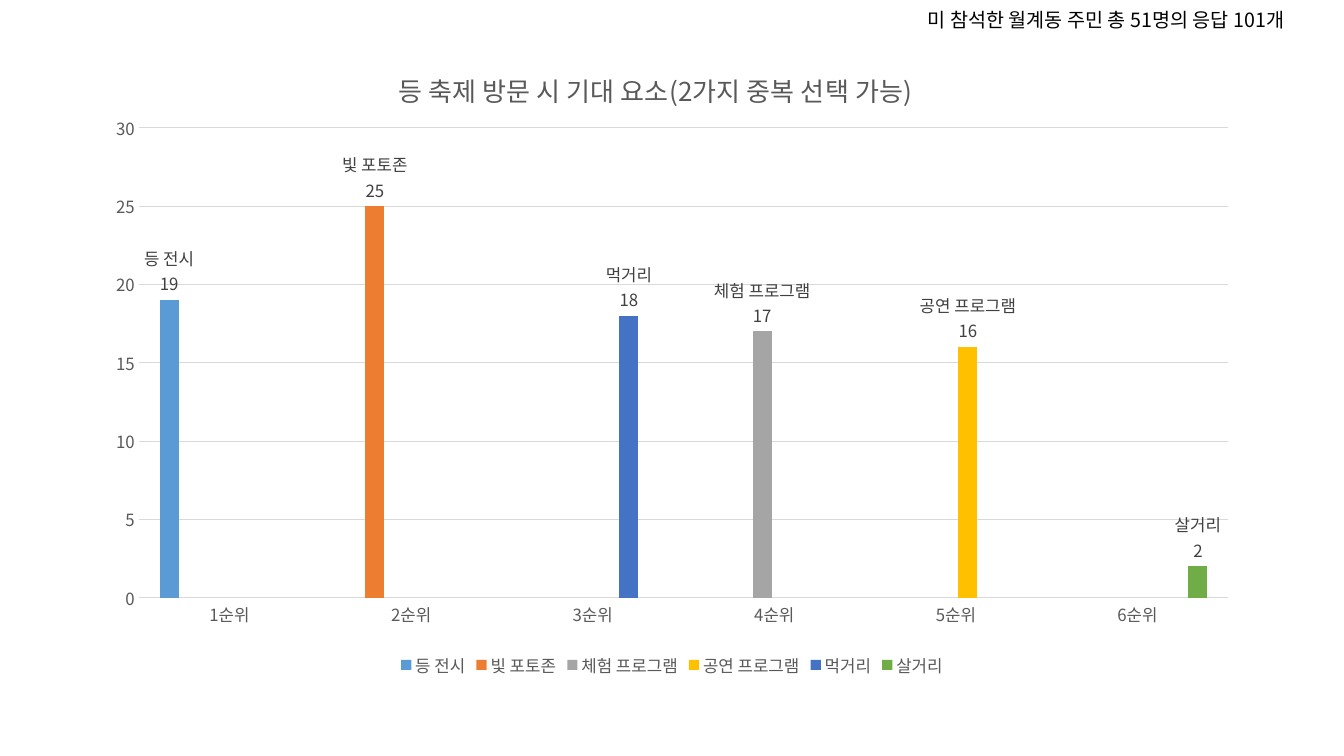
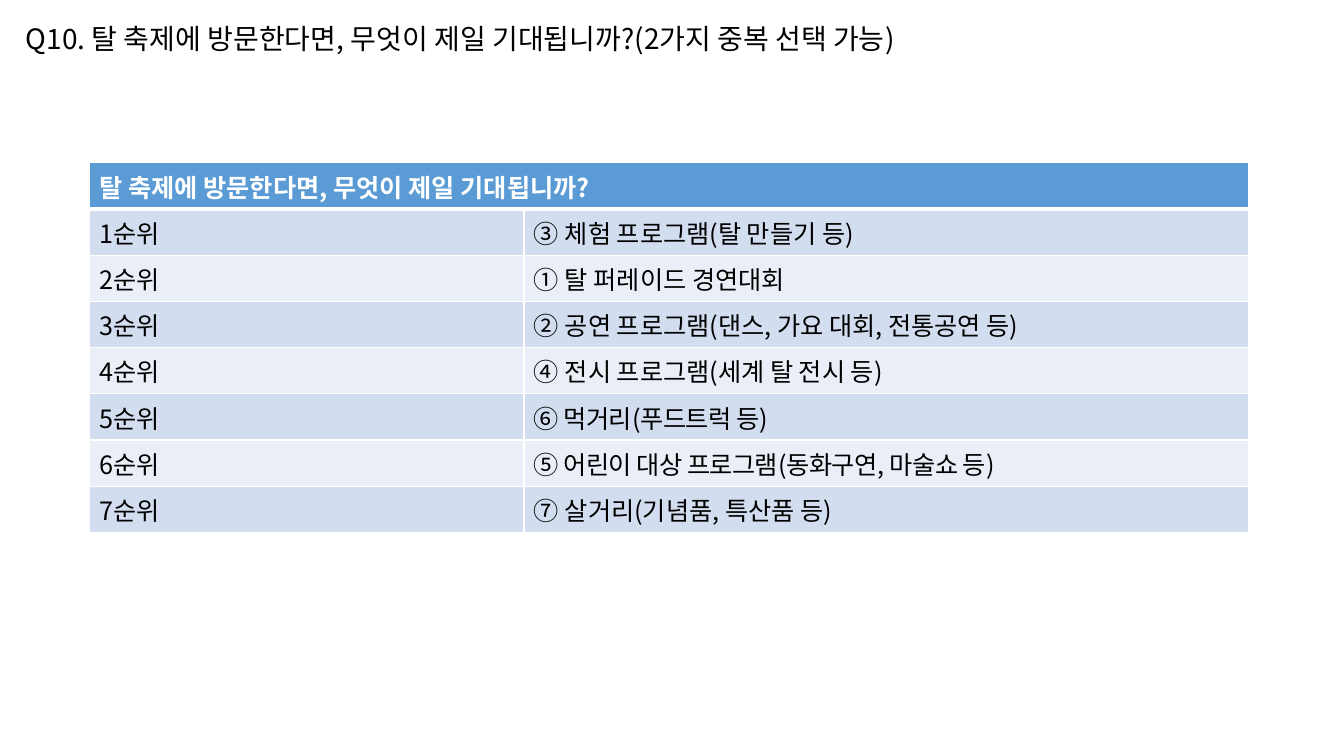
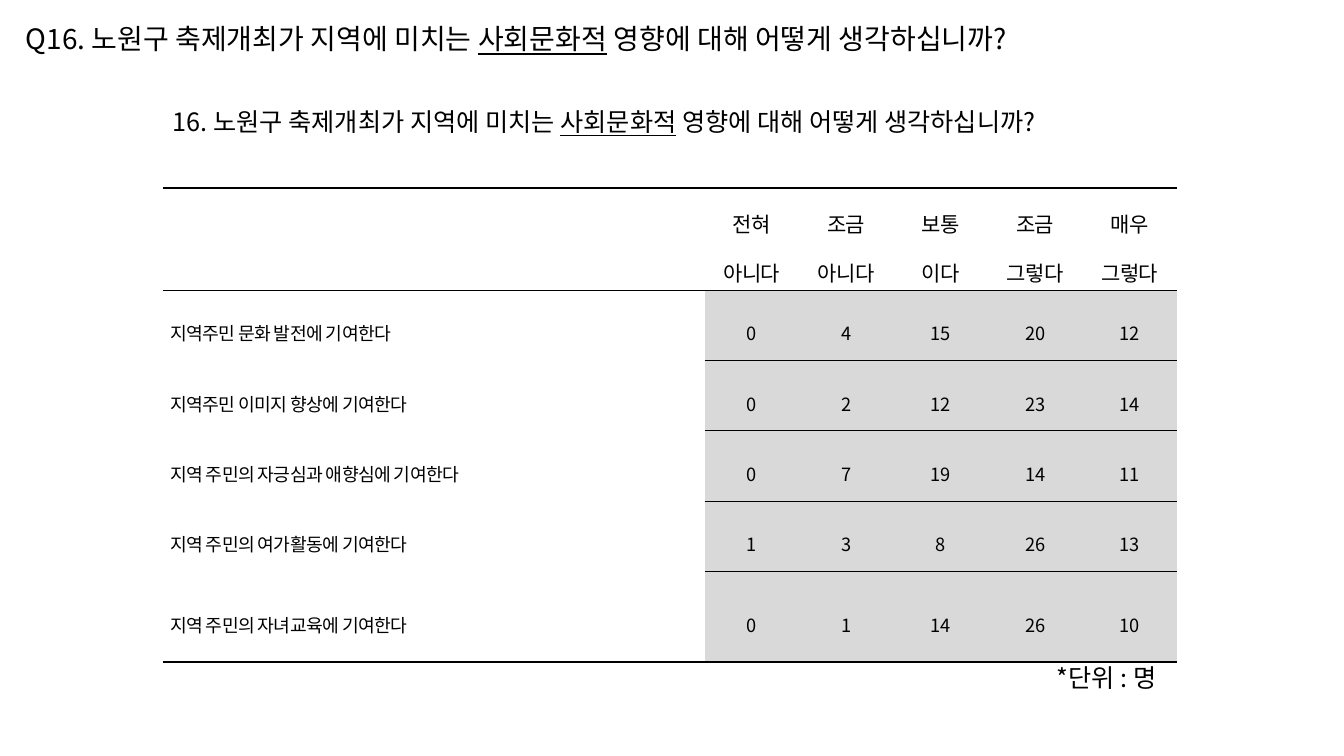
from lxml import etree
from pptx import Presentation
from pptx.chart.data import CategoryChartData
from pptx.dml.color import RGBColor
from pptx.enum.chart import XL_CHART_TYPE, XL_LABEL_POSITION, XL_LEGEND_POSITION, XL_TICK_MARK
from pptx.enum.text import MSO_ANCHOR, PP_ALIGN
from pptx.oxml.ns import qn
from pptx.util import Pt

PX = 9525
FONT = "Noto Sans CJK KR"
BLACK, WHITE, GRAY = "000000", "FFFFFF", "D9D9D9"
BLUE, CHART_TEXT, LABEL_TEXT = "5B9BD5", "595959", "404040"
BANDS = ["D2DEEF", "EAEFF7"]
COLUMN = XL_CHART_TYPE.COLUMN_CLUSTERED
OUTSIDE_END = XL_LABEL_POSITION.OUTSIDE_END
BOTTOM = XL_LEGEND_POSITION.BOTTOM
NO_TICK = XL_TICK_MARK.NONE
MIDDLE = MSO_ANCHOR.MIDDLE
CENTER, JUSTIFY = PP_ALIGN.CENTER, PP_ALIGN.JUSTIFY
color = RGBColor.from_string


def set_font(font, size, hex_color, spacing=0, bold=False):
    font.size = Pt(size)
    font.bold = bold
    font.color.rgb = color(hex_color)
    font.name = FONT
    properties = font._rPr
    east_asian = etree.Element(qn("a:ea"), typeface=FONT)
    properties.find(qn("a:latin")).addnext(east_asian)
    if spacing:
        properties.set("spc", str(spacing))


def set_borders(cell, hex_color, left, right, top, bottom):
    properties = cell._tc.get_or_add_tcPr()
    for side, width in zip("LRTB", (left, right, top, bottom)):
        line = etree.SubElement(properties, qn(f"a:ln{side}"), w=str(int(Pt(width))))
        if width:
            fill = etree.SubElement(line, qn("a:solidFill"))
            etree.SubElement(fill, qn("a:srgbClr"), val=hex_color)
        else:
            etree.SubElement(line, qn("a:noFill"))


presentation = Presentation()
presentation.slide_width = 1280 * PX
presentation.slide_height = 720 * PX
blank = presentation.slide_layouts[6]
chart_slide, ranking_slide, survey_slide = [presentation.slides.add_slide(blank) for _ in range(3)]

elements = [
    ("등 전시", 1, 19, "5B9BD5"),
    ("빛 포토존", 2, 25, "ED7D31"),
    ("체험 프로그램", 4, 17, "A5A5A5"),
    ("공연 프로그램", 5, 16, "FFC000"),
    ("먹거리", 3, 18, "4472C4"),
    ("살거리", 6, 2, "70AD47"),
]
ranks = range(1, 7)
chart_data = CategoryChartData()
chart_data.categories = [f"{rank}순위" for rank in ranks]
for name, place, votes, _ in elements:
    chart_data.add_series(name, [votes if rank == place else None for rank in ranks])
chart = chart_slide.shapes.add_chart(COLUMN, 88 * PX, 36 * PX, 1104 * PX, 613 * PX, chart_data).chart
set_font(chart.font, 10, BLACK)
chart.has_title = True
title_paragraph = chart.chart_title.text_frame.paragraphs[0]
title_paragraph.text = "등 축제 방문 시 기대 요소(2가지 중복 선택 가능)"
set_font(title_paragraph.font, 18.6, CHART_TEXT)
chart.has_legend = True
chart.legend.position = BOTTOM
chart.legend.include_in_layout = False
set_font(chart.legend.font, 12, CHART_TEXT)

for axis in (chart.category_axis, chart.value_axis):
    axis.major_tick_mark = axis.minor_tick_mark = NO_TICK
    set_font(axis.tick_labels.font, 12, CHART_TEXT)
chart.value_axis.minimum_scale = 0
chart.value_axis.maximum_scale = 30
chart.value_axis.major_unit = 5
chart.value_axis.format.line.fill.background()
for line in (chart.category_axis.format.line, chart.value_axis.major_gridlines.format.line):
    line.color.rgb = color(GRAY)
    line.width = Pt(0.75)

plot = chart.plots[0]
plot.gap_width = 219
plot.overlap = -27
plot.vary_by_categories = False
for series, (_, _, _, series_color) in zip(plot.series, elements):
    series.format.fill.solid()
    series.format.fill.fore_color.rgb = color(series_color)
    labels = series.data_labels
    labels.show_value = labels.show_series_name = True
    labels.position = OUTSIDE_END
    set_font(labels.font, 12, LABEL_TEXT)
    separator = etree.Element(qn("c:separator"))
    separator.text = "\n"
    labels._element.find(qn("c:showBubbleSize")).addnext(separator)

plot_area = chart._chartSpace.find(f".//{qn('c:plotArea')}")
inner_plot = {"layoutTarget": "inner", "xMode": "edge", "yMode": "edge",
              "x": 0.04, "y": 0.14, "w": 0.94, "h": 0.73}
title_place = {"xMode": "edge", "yMode": "edge", "x": 0.26, "y": 0.04}
for parent, index, settings in ((plot_area, 0, inner_plot), (chart.chart_title._element, 1, title_place)):
    for old_layout in parent.findall(qn("c:layout")):
        parent.remove(old_layout)
    layout = etree.Element(qn("c:layout"))
    manual = etree.SubElement(layout, qn("c:manualLayout"))
    for key, value in settings.items():
        etree.SubElement(manual, qn(f"c:{key}"), val=str(value))
    parent.insert(index, layout)

programs = [
    ("③ 체험 프로그램(탈 만들기 등)", 0),
    ("① 탈 퍼레이드 경연대회", 0),
    ("② 공연 프로그램(댄스, 가요 대회, 전통공연 등)", 0),
    ("④ 전시 프로그램(세계 탈 전시 등)", 0),
    ("⑥ 먹거리(푸드트럭 등)", -40),
    ("⑤ 어린이 대상 프로그램(동화구연, 마술쇼 등)", -40),
    ("⑦ 살거리(기념품, 특산품 등)", 0),
]
ranking_rows = [[("탈 축제에 방문한다면, 무엇이 제일 기대됩니까?", 0), ("", 0)]]
ranking_rows += [[(f"{rank}순위", 0), program] for rank, program in enumerate(programs, 1)]
ranking = ranking_slide.shapes.add_table(8, 2, 85 * PX, 155 * PX, 1104 * PX, 352 * PX).table
ranking.first_row = ranking.horz_banding = False
ranking.columns[0].width = 414 * PX
ranking.columns[1].width = 690 * PX
ranking.cell(0, 0).merge(ranking.cell(0, 1))
for row, entries in enumerate(ranking_rows):
    header = row == 0
    for column, (text, spacing) in enumerate(entries):
        cell = ranking.cell(row, column)
        set_borders(cell, WHITE, 1, 1, 3 if row == 1 else 1, 3 if header else 1)
        cell.fill.solid()
        cell.fill.fore_color.rgb = color(BLUE if header else BANDS[(row - 1) % 2])
        paragraph = cell.text_frame.paragraphs[0]
        paragraph.text = text
        set_font(paragraph.font, 18, WHITE if header else BLACK, spacing, header)

survey_rows = [
    ["", "전혀\n아니다", "조금\n아니다", "보통\n이다", "조금\n그렇다", "매우\n그렇다"],
    ["지역주민 문화 발전에 기여한다", 0, 4, 15, 20, 12],
    ["지역주민 이미지 향상에 기여한다", 0, 2, 12, 23, 14],
    ["지역 주민의 자긍심과 애향심에 기여한다", 0, 7, 19, 14, 11],
    ["지역 주민의 여가활동에 기여한다", 1, 3, 8, 26, 13],
    ["지역 주민의 자녀교육에 기여한다", 0, 1, 14, 26, 10],
]
THICK, THIN = 1.7, 0.28
last_row = len(survey_rows) - 1
survey = survey_slide.shapes.add_table(6, 6, 155 * PX, 179 * PX, 966 * PX, 452 * PX).table
survey.first_row = survey.horz_banding = False
for column, width in enumerate([516] + [90] * 5):
    survey.columns[column].width = width * PX
for row, height in enumerate([97] + [67] * 4 + [87]):
    survey.rows[row].height = height * PX
for row, entries in enumerate(survey_rows):
    for column, entry in enumerate(entries):
        cell = survey.cell(row, column)
        inner = THIN if column else 0
        top = THICK if row == 0 else THIN if row == 1 else inner
        bottom = THICK if row == last_row else THIN if row == 0 else inner
        set_borders(cell, BLACK, 0, 0, top, bottom)
        if row and column:
            cell.fill.solid()
            cell.fill.fore_color.rgb = color(GRAY)
        else:
            cell.fill.background()
        cell.vertical_anchor = MIDDLE
        cell.margin_left = cell.margin_right = 7 * PX
        cell.margin_top = cell.margin_bottom = 2 * PX
        cell.text_frame.text = str(entry)
        for paragraph in cell.text_frame.paragraphs:
            paragraph.alignment = CENTER if column or row == 0 else JUSTIFY
            paragraph.line_spacing = 1.6
            set_font(paragraph.font, 13 if row else 15, BLACK, 0 if row and column else -40)

question = ["노원구 축제개최가 지역에 미치는 ", "사회문화적", " 영향에 대해 어떻게 생각하십니까?"]
text_boxes = [
    (chart_slide, 874, 3, 407, 33, 14, ["미 참석한 월계동 주민 총 51명의 응답 101개"]),
    (ranking_slide, 15, 16, 937, 42, 20, ["Q10. 탈 축제에 방문한다면, 무엇이 제일 기대됩니까?(2가지 중복 선택 가능)"]),
    (survey_slide, 155, 97, 940, 38, 18, ["16. " + question[0]] + question[1:]),
    (survey_slide, 997, 626, 125, 38, 18, ["*단위 : 명"]),
    (survey_slide, 15, 16, 1062, 42, 20, ["Q16. " + question[0]] + question[1:]),
]
for slide, left, top, width, height, size, texts in text_boxes:
    text_box = slide.shapes.add_textbox(left * PX, top * PX, width * PX, height * PX)
    text_box.text_frame.word_wrap = True
    paragraph = text_box.text_frame.paragraphs[0]
    set_font(paragraph.font, size, BLACK)
    for text in texts:
        run = paragraph.add_run()
        run.text = text
        if text == question[1]:
            run.font.underline = True

presentation.save("out.pptx")
